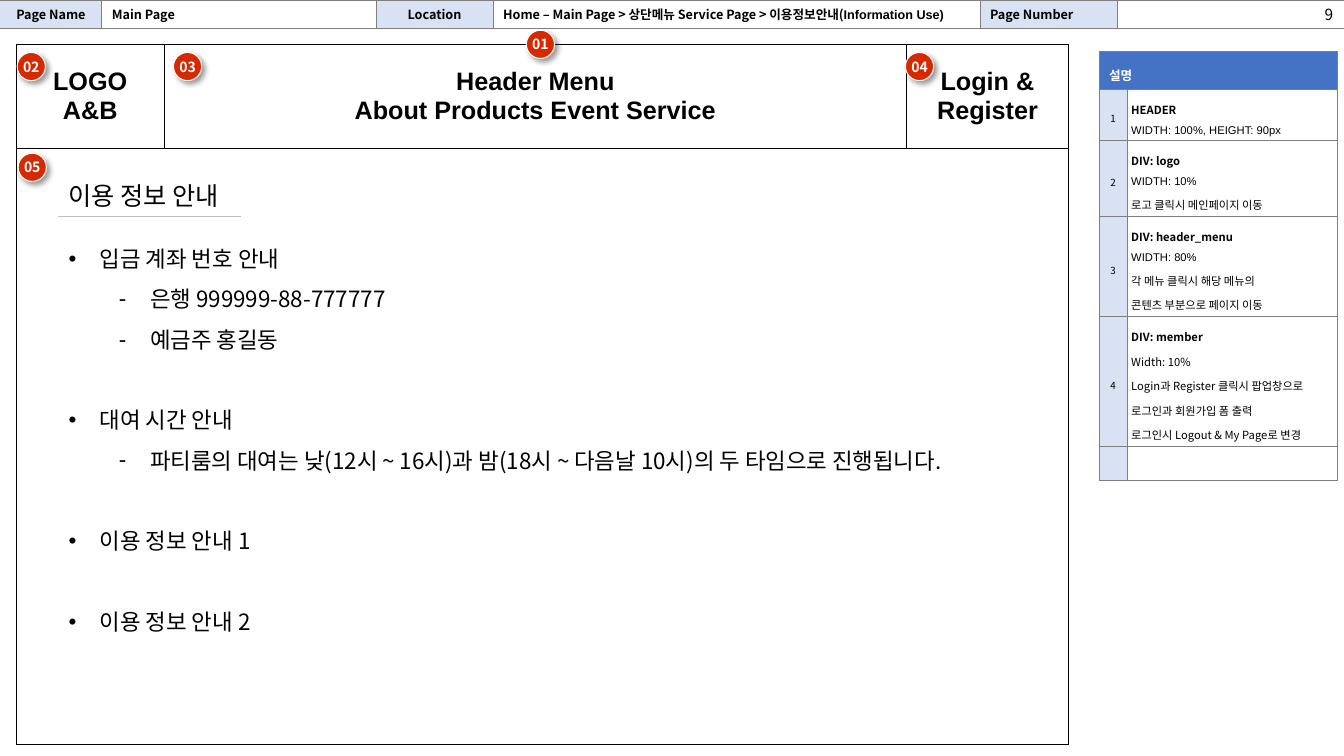
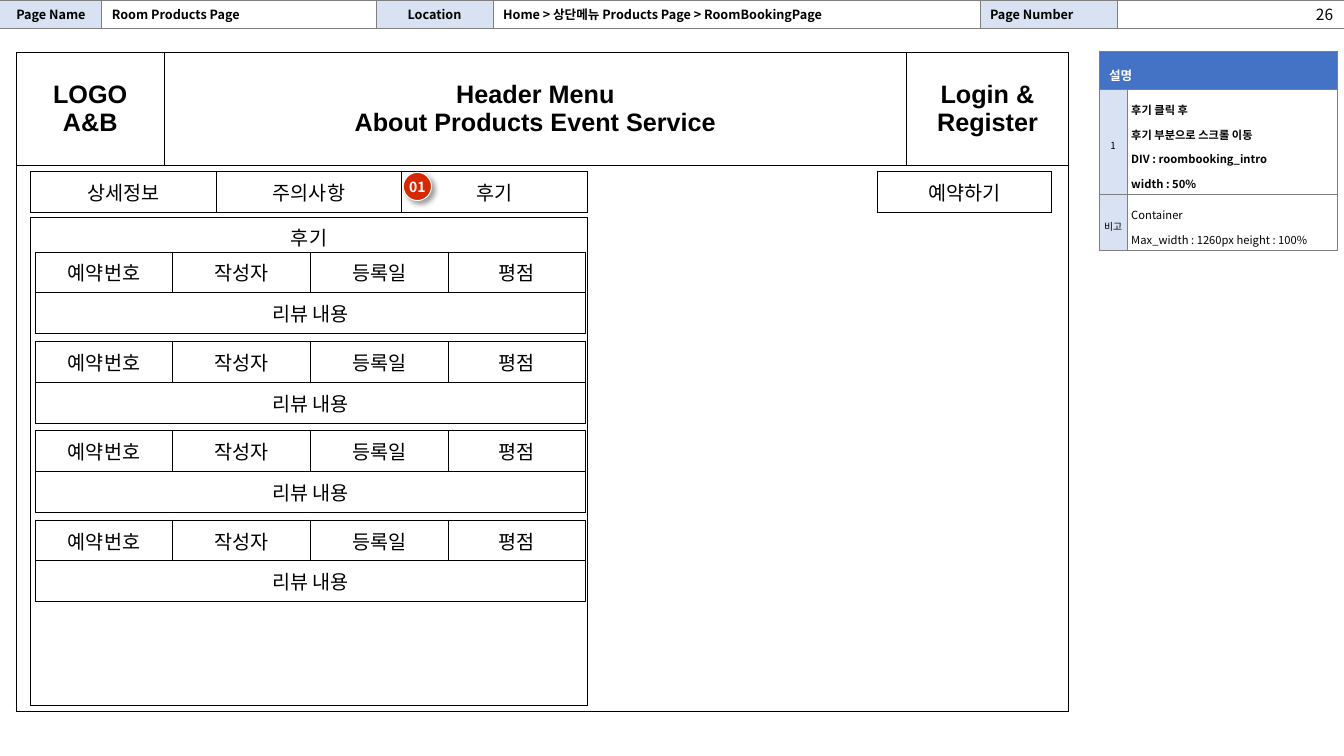
from dataclasses import dataclass, replace

from lxml import etree
from pptx import Presentation
from pptx import util as u
from pptx.dml.color import RGBColor
from pptx.enum import shapes, text
from pptx.oxml import ns

# Shared look
BLACK = RGBColor(0x00, 0x00, 0x00)
WHITE = RGBColor(0xFF, 0xFF, 0xFF)
GRAY = RGBColor(0x7F, 0x7F, 0x7F)
LIGHT_GRAY = RGBColor(0xBF, 0xBF, 0xBF)
PALE_BLUE = RGBColor(0xD8, 0xE2, 0xF3)
BLUE = RGBColor(0x44, 0x72, 0xC4)
RED = RGBColor(0xD6, 0x29, 0x00)
KOREAN, LATIN = "Noto Sans CJK KR", "Arial"
LEFT, CENTER, RIGHT = text.PP_ALIGN.LEFT, text.PP_ALIGN.CENTER, text.PP_ALIGN.RIGHT
LIST_LINE = u.Pt(28.8)


@dataclass(frozen=True)
class Style:
    size: float
    bold: bool = False
    font: str = KOREAN
    color: RGBColor = BLACK
    align: int = LEFT
    spacing: float = 1.0


BAR = Style(9, bold=True)
BAR_LABEL = replace(BAR, align=CENTER)
PAGE_NUMBER = Style(11, align=RIGHT)
NOTE = Style(8, spacing=1.5)
NOTE_BOLD = replace(NOTE, bold=True)
NOTE_LATIN = replace(NOTE, font=LATIN)
NOTE_KEY = Style(7, align=CENTER, spacing=1.5)
NOTE_TITLE = Style(9, bold=True, color=WHITE, spacing=1.5)
MENU = Style(18, bold=True, font=LATIN, align=CENTER)
BOX = Style(14, font=LATIN, align=CENTER)
BADGE = Style(10, bold=True, color=WHITE, align=CENTER)
HEADING = Style(18)
LIST = Style(16, spacing=LIST_LINE)


def add_xml(parent, tag, **attributes):
    return etree.SubElement(parent, ns.qn(tag), attributes)


def add_run(paragraph, words, style):
    run = paragraph.add_run()
    run.text = words
    font = run.font
    font.size, font.bold, font.name = u.Pt(style.size), style.bold, style.font
    font.color.rgb = style.color
    add_xml(run._r.get_or_add_rPr(), "a:ea", typeface=KOREAN)


def write(frame, lines, style):
    """Each line is a string or a list of (words, style) runs."""
    for index, line in enumerate(lines):
        paragraph = frame.add_paragraph() if index else frame.paragraphs[0]
        runs = [(line, style)] if isinstance(line, str) else line
        paragraph.alignment = runs[0][1].align
        paragraph.line_spacing = runs[0][1].spacing
        paragraph.space_before = u.Pt(0)
        for words, run_style in runs:
            add_run(paragraph, words, run_style)


def set_insets(target, horizontal, vertical):
    target.margin_left = target.margin_right = u.Inches(horizontal)
    target.margin_top = target.margin_bottom = u.Inches(vertical)


# Tables
def set_borders(cell, color, sides):
    properties = cell._tc.get_or_add_tcPr()
    for index, side in enumerate("LRTB"):
        line = etree.Element(ns.qn("a:ln" + side), w=str(u.Pt(0.75)))
        if side in sides:
            add_xml(add_xml(line, "a:solidFill"), "a:srgbClr", val=str(color))
        else:
            add_xml(line, "a:noFill")
        properties.insert(index, line)


def add_grid(slide, left, top, widths, heights, border=BLACK, open_ends=False):
    table = slide.shapes.add_table(
        len(heights), len(widths), u.Inches(left), u.Inches(top),
        u.Inches(sum(widths)), u.Inches(sum(heights))).table
    table.first_row = table.horz_banding = False
    for column, width in zip(table.columns, widths):
        column.width = u.Inches(width)
    for row, height in zip(table.rows, heights):
        row.height = u.Inches(height)
        for index, cell in enumerate(row.cells):
            cell.fill.solid()
            cell.fill.fore_color.rgb = WHITE
            sides = "LRTB"
            if open_ends and index == 0:
                sides = "RTB"
            elif open_ends and index == len(widths) - 1:
                sides = "LTB"
            set_borders(cell, border, sides)
    return table


def fill_cell(cell, lines, style, fill=WHITE, insets=(0.1, 0.05),
              anchor=text.MSO_ANCHOR.MIDDLE):
    cell.fill.fore_color.rgb = fill
    cell.vertical_anchor = anchor
    set_insets(cell, *insets)
    write(cell.text_frame, lines, style)


def shrink_empty_cells(table):
    for cell in table.iter_cells():
        if not cell.text_frame.text:
            add_xml(cell.text_frame.paragraphs[0]._p, "a:endParaRPr", sz="800")


# Top band with page name, location and number
def add_page_bar(slide, name, location, number):
    table = add_grid(slide, 0, 0, [1.01, 2.72, 1.16, 4.83, 1.36, 2.25], [0.28],
                     GRAY, open_ends=True)
    contents = [("Page Name", BAR_LABEL, PALE_BLUE), (name, BAR, WHITE),
                ("Location", BAR_LABEL, PALE_BLUE), (location, BAR, WHITE),
                ("Page Number", BAR, PALE_BLUE)]
    for cell, (line, style, fill) in zip(table.rows[0].cells, contents):
        fill_cell(cell, [line], style, fill)
    shrink_empty_cells(table)
    box = slide.shapes.add_textbox(u.Inches(11.07), u.Inches(0.02),
                                   u.Inches(2.25), u.Inches(0.25))
    frame = box.text_frame
    frame.word_wrap = True
    frame.vertical_anchor = text.MSO_ANCHOR.MIDDLE
    set_insets(frame, 0.1, 0)
    write(frame, [number], PAGE_NUMBER)


# Description column on the right
def add_notes_table(slide, left, top, notes):
    """Each note is (key, lines, style, row height)."""
    heights = [0.38] + [note[3] for note in notes]
    table = add_grid(slide, left, top, [0.28, 2.09], heights, GRAY)
    table.cell(0, 0).merge(table.cell(0, 1))
    fill_cell(table.cell(0, 0), ["설명"], NOTE_TITLE, BLUE)
    for row, (key, lines, style, _) in enumerate(notes, 1):
        fill_cell(table.cell(row, 0), [key] if key else [], NOTE_KEY, PALE_BLUE, (0, 0.05))
        fill_cell(table.cell(row, 1), lines, style, insets=(0.04, 0.04))
    shrink_empty_cells(table)


# Wireframe: header row over an open content area
def add_wireframe(slide, left, top, heights):
    table = add_grid(slide, left, top, [1.47, 7.36, 1.61], heights)
    table.cell(1, 0).merge(table.cell(1, 2))
    headers = [["LOGO", "A&B"], ["Header Menu", "About Products Event Service"],
               ["Login &", "Register"]]
    for cell, lines in zip(table.rows[0].cells, headers):
        fill_cell(cell, lines, MENU)
    shrink_empty_cells(table)


def add_badge(slide, left, top, label):
    badge = slide.shapes.add_shape(shapes.MSO_SHAPE.OVAL, u.Inches(left), u.Inches(top),
                                   u.Inches(0.28), u.Inches(0.28))
    badge.shadow.inherit = False
    badge.fill.solid()
    badge.fill.fore_color.rgb = RED
    badge.line.color.rgb = WHITE
    badge.line.width = u.Pt(0.75)
    effects = badge._element.spPr.find(ns.qn("a:effectLst"))
    shadow = add_xml(effects, "a:outerShdw", blurRad=str(u.Pt(4)), dist=str(u.Pt(3)),
                     dir=str(45 * 60000), algn="tl", rotWithShape="0")
    add_xml(add_xml(shadow, "a:srgbClr", val=str(BLACK)), "a:alpha", val="40000")
    frame = badge.text_frame
    frame.word_wrap = False
    frame.vertical_anchor = text.MSO_ANCHOR.MIDDLE
    set_insets(frame, 0, 0)
    write(frame, [label], BADGE)


# Heading and bulleted list inside the wireframe
def place_placeholder(shape, left, top, width, height):
    shape.left, shape.top = u.Inches(left), u.Inches(top)
    shape.width, shape.height = u.Inches(width), u.Inches(height)
    frame = shape.text_frame
    frame.word_wrap = True
    frame.auto_size = text.MSO_AUTO_SIZE.NONE
    frame.vertical_anchor = text.MSO_ANCHOR.TOP
    set_insets(frame, 0.1, 0.05)
    # Bring in front of the wireframe table
    shape.element.getparent().append(shape.element)
    return frame


def add_guide(slide, left, top, heading, groups):
    title = place_placeholder(slide.shapes.title, left, top, 2.74, 0.4)
    write(title, [heading], HEADING)

    rule_top = u.Inches(top + 0.41)
    rule = slide.shapes.add_connector(shapes.MSO_CONNECTOR.STRAIGHT, u.Inches(left),
                                      rule_top, u.Inches(left + 1.81), rule_top)
    rule.line.color.rgb = LIGHT_GRAY
    rule.line.width = u.Pt(0.75)
    add_xml(rule._element.spPr, "a:effectLst")

    body = place_placeholder(slide.placeholders[1], left, top + 0.51, 9.45, 5.1)
    items = [(line, min(index, 1)) for group in groups for index, line in enumerate(group)]
    write(body, [line for line, _ in items], LIST)
    for index, (paragraph, (_, level)) in enumerate(zip(body.paragraphs, items)):
        paragraph.level = level
        properties = paragraph._p.get_or_add_pPr()
        properties.set("marL", str(u.Inches(0.81 if level else 0.31)))
        properties.set("indent", str(u.Inches(-0.31)))
        add_xml(add_xml(properties, "a:buClr"), "a:srgbClr", val=str(BLACK))
        add_xml(properties, "a:buFont", typeface=LATIN)
        add_xml(properties, "a:buChar", char="-" if level else "•")
        if index and not level:
            paragraph.space_before = LIST_LINE


# Row of equal boxes, and the review list below it
def add_box_row(slide, left, top, width, labels):
    table = add_grid(slide, left, top, [width / len(labels)] * len(labels), [0.41])
    for cell, label in zip(table.rows[0].cells, labels):
        fill_cell(cell, [label], BOX)


def add_reviews(slide, left, top, count):
    panel = add_grid(slide, left, top, [5.53], [4.84])
    fill_cell(panel.cell(0, 0), ["후기"], BOX, anchor=text.MSO_ANCHOR.TOP)
    width, height, pitch = 5.46, 0.81, 2.66 / 3
    for index in range(count):
        table = add_grid(slide, left + 0.05, top + 0.34 + pitch * index,
                         [width / 4] * 4, [height / 2] * 2)
        table.cell(1, 0).merge(table.cell(1, 3))
        for cell, label in zip(table.rows[0].cells, ["예약번호", "작성자", "등록일", "평점"]):
            fill_cell(cell, [label], BOX)
        fill_cell(table.cell(1, 0), ["리뷰 내용"], BOX)
        shrink_empty_cells(table)


# Slides
def build_guide_slide(presentation):
    slide = presentation.slides.add_slide(presentation.slide_layouts[1])
    add_page_bar(slide, "Main Page",
                 [("Home – Main Page > 상단메뉴 Service Page > 이용정보안내(", BAR),
                  ("Information Use)", replace(BAR, font=LATIN))], "9")
    add_notes_table(slide, 10.9, 0.51, [
        ("1", ["HEADER", [("WIDTH: 100%, HEIGHT: 90px", NOTE_LATIN)]], NOTE_BOLD, 0.5),
        ("2", ["DIV: logo", [("WIDTH: 10%", NOTE_LATIN)],
               [("로고 클릭시 메인페이지 이동", NOTE)]], NOTE_BOLD, 0.76),
        ("3", ["DIV: header_menu", [("WIDTH: 80%", NOTE_LATIN)],
               [("각 메뉴 클릭시 해당 메뉴의", NOTE)],
               [("콘텐츠 부분으로 페이지 이동", NOTE)]], NOTE_BOLD, 0.99),
        ("4", [[("DIV: member", NOTE_BOLD)], "Width: 10%",
               "Login과 Register 클릭시 팝업창으로", "로그인과 회원가입 폼 출력",
               "로그인시 Logout & My Page로 변경"], NOTE, 1.29),
        ("", [], NOTE, 0.34)])
    add_wireframe(slide, 0.16, 0.44, [1.03, 5.92])
    for left, top, label in [(0.17, 0.52, "02"), (1.72, 0.52, "03"), (8.98, 0.52, "04"),
                             (5.22, 0.3, "01"), (0.18, 1.52, "05")]:
        add_badge(slide, left, top, label)
    add_guide(slide, 0.58, 1.74, "이용 정보 안내", [
        ["입금 계좌 번호 안내", "은행 999999-88-777777", "예금주 홍길동"],
        ["대여 시간 안내",
         "파티룸의 대여는 낮(12시 ~ 16시)과 밤(18시 ~ 다음날 10시)의 두 타임으로 진행됩니다."],
        ["이용 정보 안내 1"],
        ["이용 정보 안내 2"]])


def build_review_slide(presentation):
    slide = presentation.slides.add_slide(presentation.slide_layouts[6])
    add_page_bar(slide, "Room Products Page",
                 "Home > 상단메뉴 Products Page > RoomBookingPage", "26")
    add_notes_table(slide, 10.9, 0.51, [
        ("1", ["후기 클릭 후", "후기 부분으로 스크롤 이동", "DIV : roombooking_intro",
               "width : 50%"], NOTE_BOLD, 1.04),
        ("비고", ["Container", "Max_width : 1260px height : 100%"], NOTE, 0.56)])
    add_wireframe(slide, 0.16, 0.52, [1.12, 5.42])
    add_box_row(slide, 0.3, 1.7, 5.53, ["상세정보", "주의사항", "후기"])
    add_box_row(slide, 8.7, 1.7, 1.73, ["예약하기"])
    add_badge(slide, 4, 1.71, "01")
    add_reviews(slide, 0.3, 2.16, 4)


def main():
    presentation = Presentation()
    presentation.slide_width = u.Inches(13.33)
    presentation.slide_height = u.Inches(7.5)
    build_guide_slide(presentation)
    build_review_slide(presentation)
    presentation.save("out.pptx")


if __name__ == "__main__":
    main()
